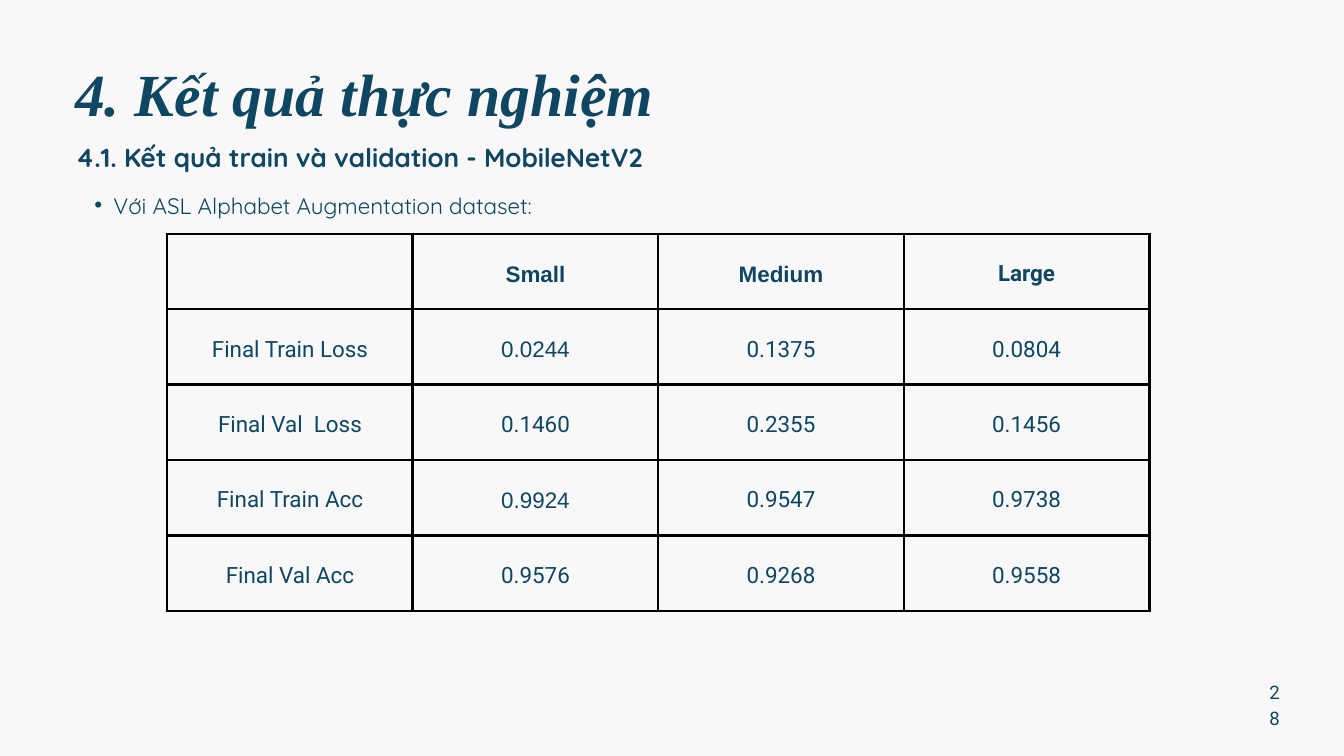
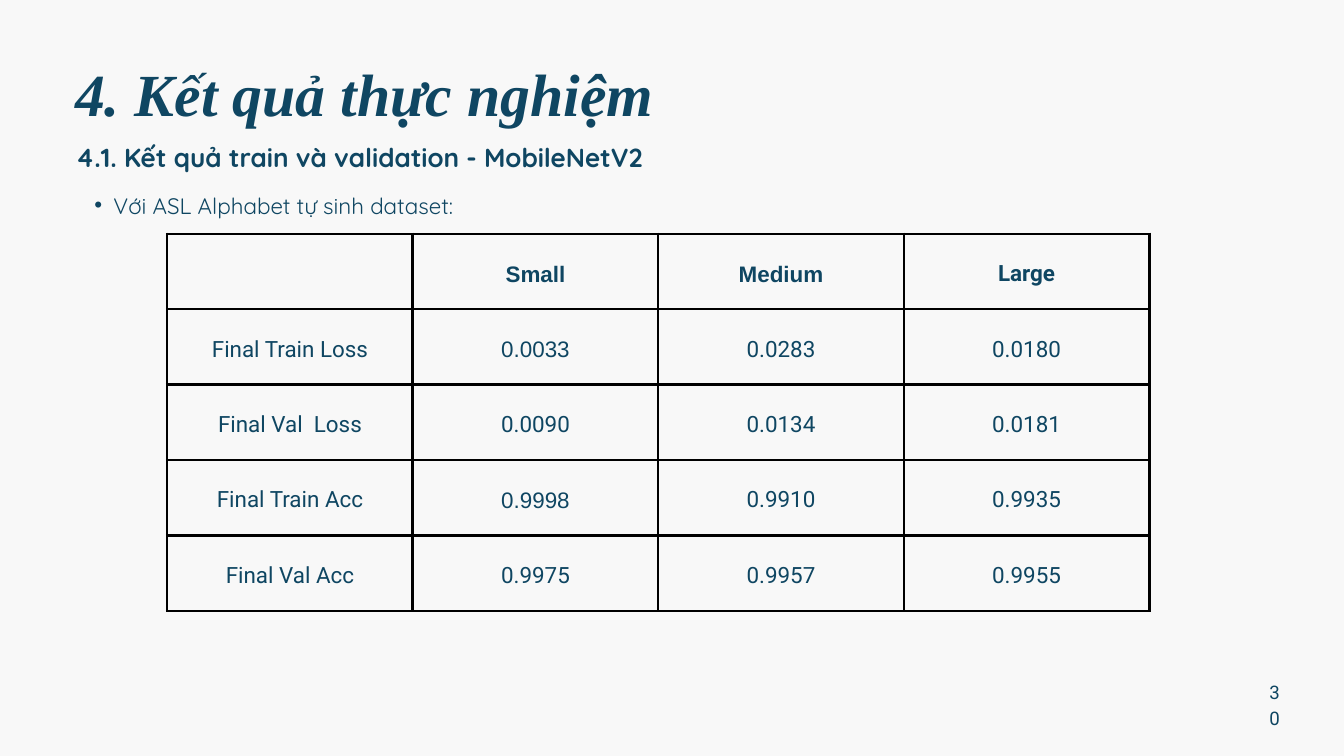
"""Build two slides of training results, one table for each data set."""
import pptx
import pptx.dml.color
import pptx.enum.text
import pptx.oxml.ns
import pptx.util
from lxml import etree

Cm, Pt = pptx.util.Cm, pptx.util.Pt
ALIGN = pptx.enum.text.PP_ALIGN
INK, PAPER, RULE = "0F4662", "F8F8F8", "000000"

TITLE = "4. Kết quả thực nghiệm"
TOPIC = "4.1. Kết quả train và validation - MobileNetV2"
HEADS = ["", "Small", "Medium", "Large"]
LABELS = ["Final Train Loss", "Final Val  Loss", "Final Train Acc", "Final Val Acc"]
SLIDES = [
    {"page": "28", "lead": "Với ASL Alphabet Augmentation dataset:",
     "scores": [("0.0244", "0.1375", "0.0804"),
                ("0.1460", "0.2355", "0.1456"),
                ("0.9924", "0.9547", "0.9738"),
                ("0.9576", "0.9268", "0.9558")]},
    {"page": "30", "lead": "Với ASL Alphabet tự sinh dataset:",
     "scores": [("0.0033", "0.0283", "0.0180"),
                ("0.0090", "0.0134", "0.0181"),
                ("0.9998", "0.9910", "0.9935"),
                ("0.9975", "0.9957", "0.9955")]},
]
ARIAL = {(0, 1), (0, 2), (1, 1), (3, 1)}
LEFT, TOP, WIDE, HIGH, PAD = 6.32, 8.84, 9.28, 2.85, 0.53


def hue(code):
    return pptx.dml.color.RGBColor.from_string(code)


def add(parent, tag, **attrs):
    return etree.SubElement(parent, pptx.oxml.ns.qn("a:" + tag), attrs)


def style(para, face, size, lead, align=ALIGN.LEFT, bold=False, slant=False):
    para.alignment = align
    para.line_spacing = Pt(lead)
    font = para.font
    font.name, font.size, font.bold, font.italic = face, Pt(size), bold, slant
    font.color.rgb = hue(INK)


def write(slide, text, spot, *look, bullet=False, **more):
    frame = slide.shapes.add_textbox(*map(Cm, spot)).text_frame
    frame.word_wrap = True
    frame.margin_left = frame.margin_right = frame.margin_top = frame.margin_bottom = 0
    para = frame.paragraphs[0]
    para.text = text
    if bullet:
        para.level = 1
        props = para._p.get_or_add_pPr()
        props.set("marL", str(Cm(1.45)))
        props.set("indent", str(Cm(-0.72)))
        add(props, "buFont", typeface="Arial")
        add(props, "buChar", char="•")
    style(para, *look, **more)


def frame_cell(cell):
    props = cell._tc.get_or_add_tcPr()
    for side in "LRTB":
        line = add(props, "ln" + side, w=str(Pt(3)))
        add(add(line, "solidFill"), "srgbClr", val=RULE)
    cell.fill.background()
    cell.vertical_anchor = pptx.enum.text.MSO_ANCHOR.MIDDLE
    cell.margin_left = cell.margin_right = cell.margin_top = cell.margin_bottom = Cm(PAD)


def draw_table(slide, scores):
    rows = [HEADS] + [[label, *row] for label, row in zip(LABELS, scores)]
    size = len(rows), len(HEADS)
    table = slide.shapes.add_table(
        *size, Cm(LEFT), Cm(TOP), Cm(WIDE * size[1]), Cm(HIGH * size[0])).table
    table.first_row = table.horz_banding = False
    for col in table.columns:
        col.width = Cm(WIDE)
    for r, row in enumerate(rows):
        table.rows[r].height = Cm(HIGH)
        for c, text in enumerate(row):
            cell = table.cell(r, c)
            frame_cell(cell)
            cell.text = text
            face = "Arial" if (r, c) in ARIAL else "Roboto"
            style(cell.text_frame.paragraphs[0], face, 24, 33.6, ALIGN.CENTER, r == 0)


def main():
    deck = pptx.Presentation()
    deck.slide_width, deck.slide_height = Cm(50.8), Cm(28.58)
    for item in SLIDES:
        slide = deck.slides.add_slide(deck.slide_layouts[6])
        slide.background.fill.solid()
        slide.background.fill.fore_color.rgb = hue(PAPER)
        draw_table(slide, item["scores"])
        write(slide, item["page"], (47.96, 25.58, 0.43, 0.56),
              "Roboto", 20, 28, ALIGN.CENTER)
        write(slide, TITLE, (2.84, 1.68, 39.09, 3.02),
              "Times New Roman", 64, 89.6, bold=True, slant=True)
        write(slide, item["lead"], (2.84, 6.83, 44.07, 1.35),
              "Quicksand", 24, 40.8, ALIGN.JUSTIFY, bullet=True)
        write(slide, TOPIC, (2.87, 5.16, 40.56, 1.37),
              "Quicksand", 28, 39.2, bold=True)
    deck.save("out.pptx")


if __name__ == "__main__":
    main()
